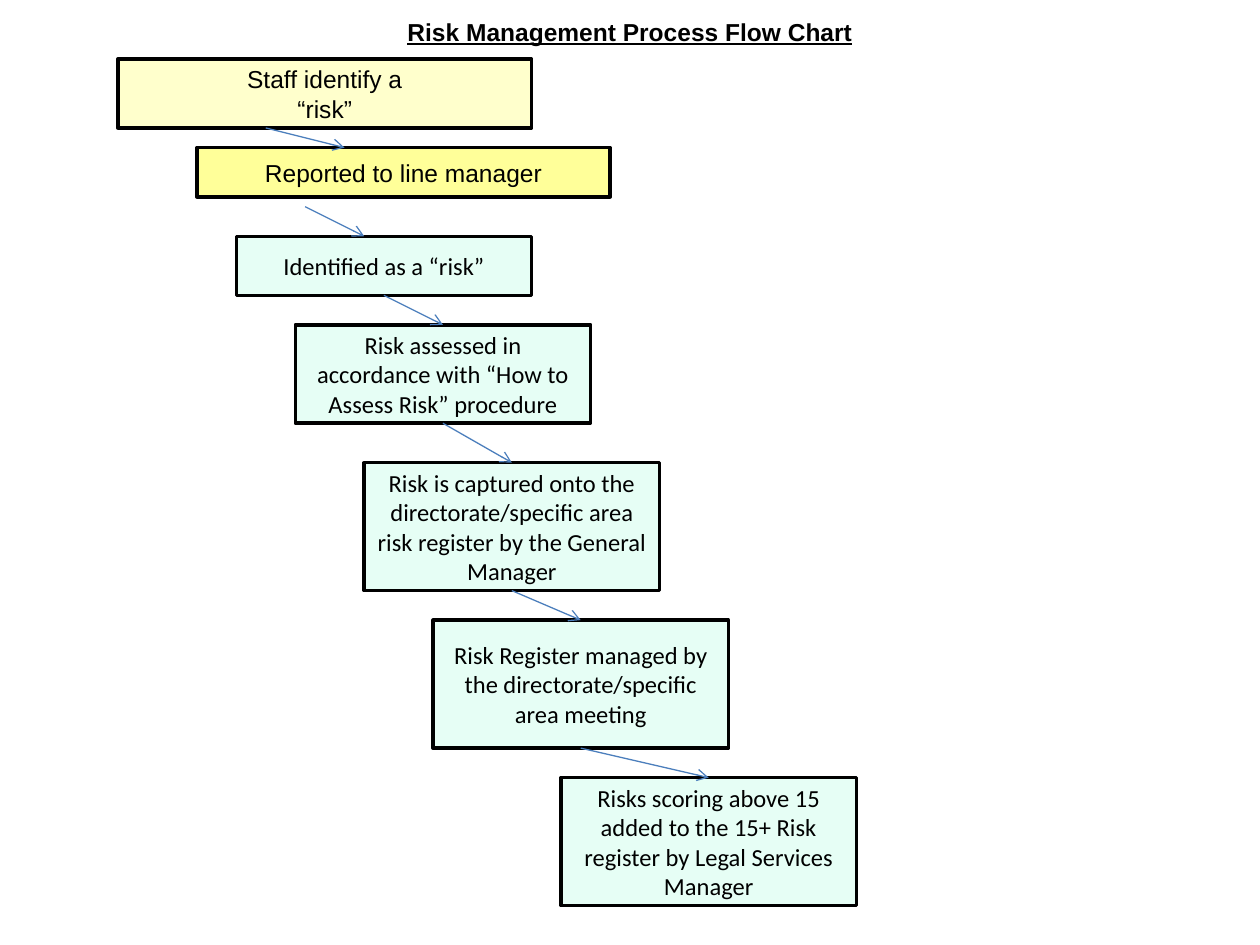
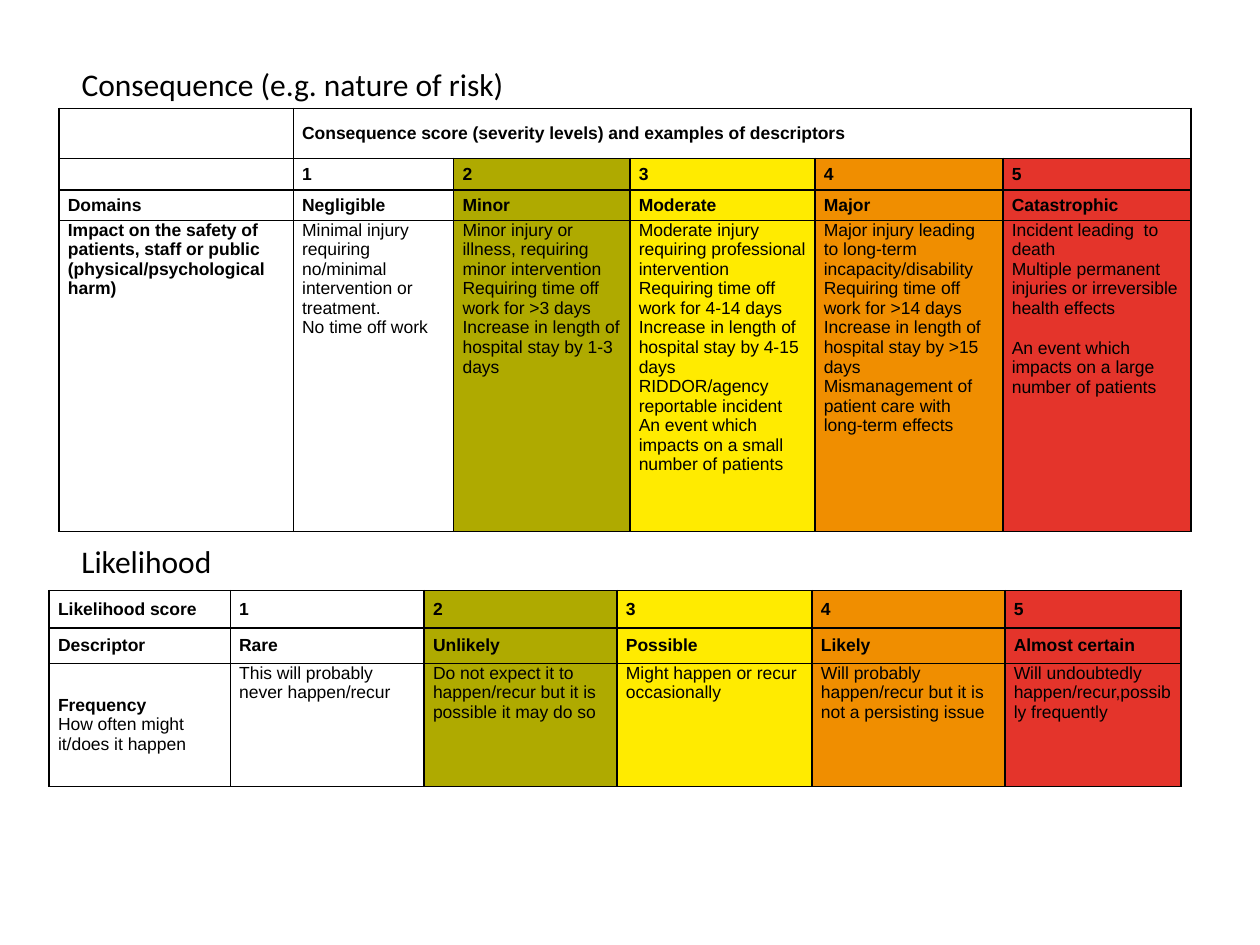
from lxml import etree
from pptx import Presentation, util as u
from pptx.dml.color import RGBColor
from pptx.enum import shapes as sh, text as tx
from pptx.oxml import ns

BLACK = RGBColor(0x00, 0x00, 0x00)
CREAM = RGBColor(0xFF, 0xFF, 0xCC)
LEMON = RGBColor(0xFF, 0xFF, 0x99)
MINT = RGBColor(0xE6, 0xFE, 0xF5)
BLUE = RGBColor(0x4B, 0x7E, 0xBC)
OLIVE = RGBColor(0xAF, 0xAA, 0x00)
YELLOW = RGBColor(0xFF, 0xEB, 0x00)
ORANGE = RGBColor(0xF0, 0x8E, 0x00)
RED = RGBColor(0xE4, 0x34, 0x2B)
SCORES = [None, None, OLIVE, YELLOW, ORANGE, RED]  # fill of each table column
LEFT, CENTER = tx.PP_ALIGN.LEFT, tx.PP_ALIGN.CENTER
MIDDLE, TOP = tx.MSO_ANCHOR.MIDDLE, tx.MSO_ANCHOR.TOP

deck = Presentation()
deck.slide_width, deck.slide_height = u.Inches(10), u.Inches(7.5)
UNIT = deck.slide_width / 128  # the slide is a grid of 128 columns and 96 rows


def grid(*cells):
    """Turn grid counts into slide lengths."""
    return [u.Emu(round(n * UNIT)) for n in cells]


def style(frame, size, face, align=LEFT, bold=False, anchor=MIDDLE):
    """Format all the text of a frame."""
    frame.word_wrap = True
    frame.vertical_anchor = anchor
    for par in frame.paragraphs:
        par.alignment = align
        for run in par.runs:
            font = run.font
            font.size, font.name, font.bold = u.Pt(size), face, bold
            font.color.rgb = BLACK


# Both slides: a title in its placeholder
titles = [
    ("Risk Management Process Flow Chart", (38, 1, 52, 4.4), 14, "Arial", CENTER, True),
    ("Consequence (e.g. nature of risk)", (7, 6, 52, 5.1), 18, "Calibri", LEFT, False),
]
slides = []
for words, place, size, face, align, bold in titles:
    slide = deck.slides.add_slide(deck.slide_layouts[5])
    title = slide.shapes.title
    title.left, title.top, title.width, title.height = grid(*place)
    title.text_frame.text = words
    title.text_frame.auto_size = tx.MSO_AUTO_SIZE.NONE
    style(title.text_frame, size, face, align, bold)
    title.text_frame.paragraphs[0].runs[0].font.underline = bold
    slides.append(slide)
flow, risk = slides

# Slide 1: the steps of the process
steps = [
    ("Staff identify a\n“risk”", (12, 6, 42, 7), CREAM, "Arial"),
    ("Reported to line manager", (20, 15, 42, 5), LEMON, "Arial"),
    ("Identified as a “risk”", (24, 24, 30, 6), MINT, "Calibri"),
    ("Risk assessed in accordance with “How to Assess Risk” procedure",
     (30, 33, 30, 10), MINT, "Calibri"),
    ("Risk is captured onto the directorate/specific area risk register "
     "by the General Manager", (37, 47, 30, 13), MINT, "Calibri"),
    ("Risk Register managed by the directorate/specific area meeting",
     (44, 63, 30, 13), MINT, "Calibri"),
    ("Risks scoring above 15 added to the 15+ Risk register by Legal "
     "Services Manager", (57, 79, 30, 13), MINT, "Calibri"),
]
for words, place, color, face in steps:
    box = flow.shapes.add_shape(sh.MSO_SHAPE.RECTANGLE, *grid(*place))
    box.shadow.inherit = False
    box.fill.solid()
    box.fill.fore_color.rgb = color
    box.line.color.rgb = BLACK
    box.line.width = u.Pt(2)
    box.text_frame.text = words
    style(box.text_frame, 14, face, CENTER)

# The first two arrows stand off centre; the rest join the middles of the boxes
arrows = [(27, 13, 35, 15), (31, 21, 37, 24)]
places = [step[1] for step in steps[2:]]
for (x, y, w, h), (left, top, wide, _) in zip(places, places[1:]):
    arrows.append((x + w / 2, y + h, left + wide / 2, top))
for ends in arrows:
    arrow = flow.shapes.add_connector(sh.MSO_CONNECTOR.STRAIGHT, *grid(*ends))
    arrow.line.color.rgb = BLUE
    arrow.line.width = u.Pt(0.75)
    etree.SubElement(arrow.line._get_or_add_ln(), ns.qn("a:tailEnd"), type="arrow")
    etree.SubElement(arrow._element.spPr, ns.qn("a:effectLst"))

# Slide 2: heading of the second table
head = risk.shapes.add_textbox(*grid(7, 54.4, 52, 5.1))
head.text_frame.text = "Likelihood"
style(head.text_frame, 18, "Calibri")

# Slide 2: two score tables, the last row holding the descriptions
harm = [
    ["", "Consequence score (severity levels) and examples of descriptors", "", "", "", ""],
    ["", "1", "2", "3", "4", "5"],
    ["Domains", "Negligible", "Minor", "Moderate", "Major", "Catastrophic"],
    ["Impact on the safety of patients, staff or public (physical/psychological harm)",
     "Minimal injury requiring no/minimal intervention or treatment.\nNo time off work",
     "Minor injury or illness, requiring minor intervention\n"
     "Requiring time off work for >3 days\n"
     "Increase in length of hospital stay by 1-3 days",
     "Moderate injury requiring professional intervention\n"
     "Requiring time off work for 4-14 days\n"
     "Increase in length of hospital stay by 4-15 days\n"
     "RIDDOR/agency reportable incident\n"
     "An event which impacts on a small number of patients",
     "Major injury leading to long-term incapacity/disability\n"
     "Requiring time off work for >14 days\n"
     "Increase in length of hospital stay by >15 days\n"
     "Mismanagement of patient care with long-term effects",
     "Incident leading  to death\n"
     "Multiple permanent injuries or irreversible health effects\n"
     "An event which impacts on a large number of patients"],
]
odds = [
    ["Likelihood score", "1", "2", "3", "4", "5"],
    ["Descriptor", "Rare", "Unlikely", "Possible", "Likely", "Almost certain"],
    ["Frequency\nHow often might it/does it happen",
     "This will probably never happen/recur",
     "Do not expect it to happen/recur but it is possible it may do so",
     "Might happen or recur occasionally",
     "Will probably happen/recur but it is not a persisting issue",
     "Will undoubtedly happen/recur,possibly frequently"],
]
tables = [
    (harm, 6, 11, [23.8, 16.3, 17.9, 18.8, 19.1, 19.1], [5.1, 3.2, 3.1, 31.6]),
    (odds, 5, 60, [18.4, 19.7, 19.6, 19.8, 19.6, 17.9], [3.8, 3.6, 12.5]),
]
made = []
for data, left, top, wides, highs in tables:
    place = grid(left, top, sum(wides), sum(highs))
    table = risk.shapes.add_table(len(highs), len(wides), *place).table
    table.first_row = table.horz_banding = False
    for col, wide in zip(table.columns, grid(*wides)):
        col.width = wide
    for row, high in zip(table.rows, grid(*highs)):
        row.height = high
    last = len(data) - 1
    for r, line in enumerate(data):
        for c, words in enumerate(line):
            cell = table.cell(r, c)
            cell.margin_left, cell.margin_right = grid(0.9, 0.9)
            cell.margin_top = cell.margin_bottom = 0
            tall = r == last and (c > 0 or data is harm)
            cell.vertical_anchor = TOP if tall else MIDDLE
            props = cell._tc.get_or_add_tcPr()
            for side in ("a:lnL", "a:lnR", "a:lnT", "a:lnB"):
                edge = etree.SubElement(props, ns.qn(side), w=str(u.Pt(1)))
                ink = etree.SubElement(edge, ns.qn("a:solidFill"))
                etree.SubElement(ink, ns.qn("a:srgbClr"), val=str(BLACK))
            if SCORES[c] is None or words == "":
                cell.fill.background()
            else:
                cell.fill.solid()
                cell.fill.fore_color.rgb = SCORES[c]
            cell.text_frame.text = words
            for par in cell.text_frame.paragraphs:
                for run in par.runs:
                    font = run.font
                    font.size, font.name = u.Pt(10), "Arial"
                    font.bold = r < last or c == 0
                    font.color.rgb = BLACK
                if not words:
                    etree.SubElement(par._p, ns.qn("a:endParaRPr"), sz="1000")
    made.append(table)

first, second = made
first.cell(0, 1).merge(first.cell(0, 5))
first.cell(3, 5).text_frame.paragraphs[2].space_before = u.Pt(11.5)
second.cell(2, 0).text_frame.paragraphs[1].runs[0].font.bold = False

deck.save("out.pptx")
